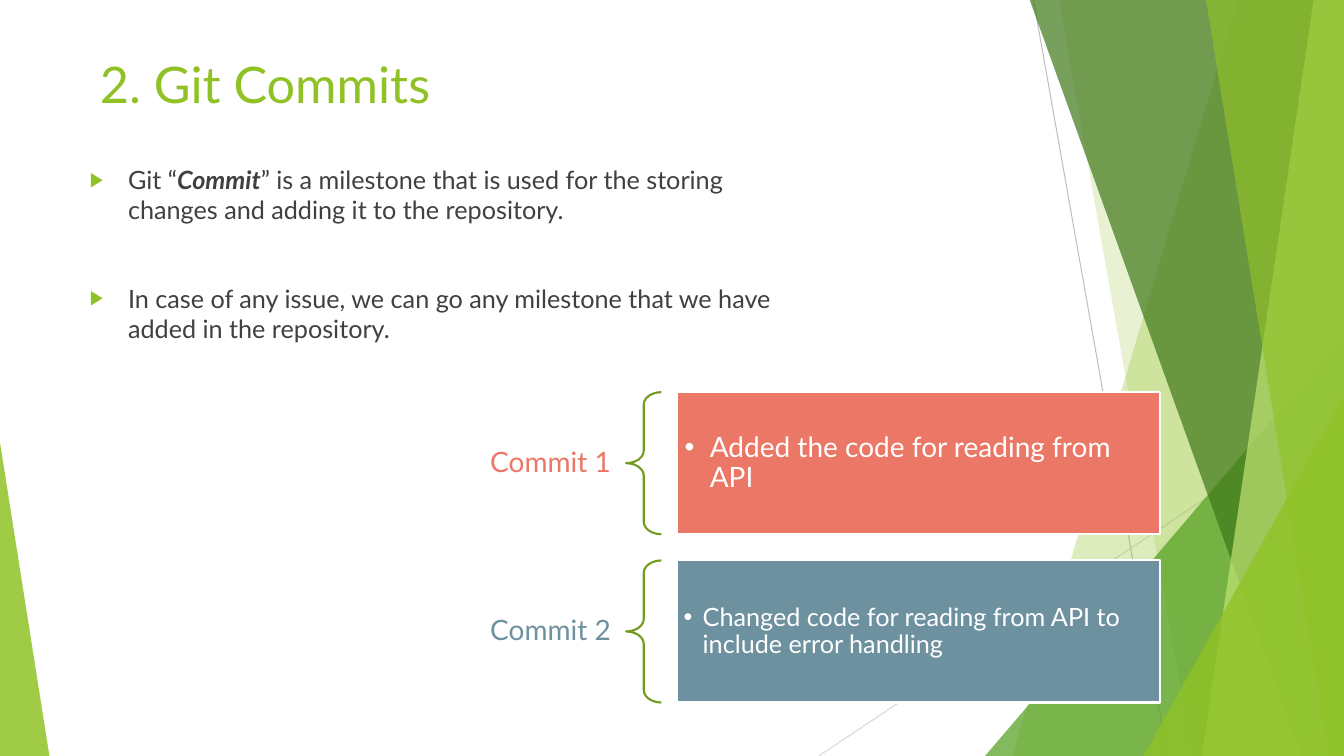
"""Build the Git commits slide with its green facet backdrop."""
from lxml import etree
from pptx import Presentation
from pptx.dml.color import RGBColor
from pptx.enum import shapes, text
from pptx.oxml import ns
from pptx.util import Inches, Pt

FONT = "Lato"
GREEN, BODY_GRAY, WHITE = "90C226", "404040", "FFFFFF"

TITLE = "2. Git Commits"
MILESTONES = [
    (["Git “", "Commit", "” is a milestone that is used for the storing changes "
      "and adding it to the repository."], 10),
    (["In case of any issue, we can go any milestone that we have added in "
      "the repository."], 41.5),
]
EMPHASIS = "Commit"
COMMITS = [
    ("Commit 1", "Added the code for reading from API", "EB7766", 20, 0.25, 0.08),
    ("Commit 2", "Changed code for reading from API to include error handling",
     "6E91A0", 18, 0.19, 0.07),
]
COMMIT_TOP, COMMIT_STEP, COMMIT_HEIGHT = 3.89, 1.67, 1.41

HAIRLINES = [((10.25, 0), (11.58, 7.5), "BFBFBF"),
             ((13.33, 4.03), (8.12, 7.5), "D9D9D9")]
TOP, RIGHT, BOTTOM = -0.01, 13.33, 7.5
FACETS = [
    ("band", (12.28, 10.04), GREEN, 30),
    ("band", (10.5, 11.83), GREEN, 20),
    ("triangle", (9.77, 3.33, 3.56, 4.17, 1), "54A021", 72),
    ("band", (10.21, 12.91), "3F7819", 70),
    ("band", (13.03, 11.92), "C0E474", 70),
    ("band", (11.96, 13.18), GREEN, 65),
    ("triangle", (11.34, 3.93, 1.99, 3.57, 1), GREEN, 80),
    ("triangle", (0, 4.39, 0.49, 3.11, 0), GREEN, 85),
]


def rgb(color):
    return RGBColor.from_string(color)


def add_node(parent, tag, **attributes):
    return etree.SubElement(parent, ns.qn(tag), attributes)


def place(part, left, top, width, height):
    part.left, part.top = Inches(left), Inches(top)
    part.width, part.height = Inches(width), Inches(height)


def paint(part, color, opacity=100):
    part.shadow.inherit = False
    part.line.fill.background()
    part.fill.solid()
    part.fill.fore_color.rgb = rgb(color)
    if opacity < 100:
        tint = part.fill._xPr.find(".//" + ns.qn("a:srgbClr"))
        add_node(tint, "a:alpha", val=str(opacity * 1000))


def outline(part, color):
    part.line.color.rgb = rgb(color)
    part.line.width = Pt(1.5)


def style(paragraph, size, color, align=text.PP_ALIGN.LEFT):
    paragraph.alignment = align
    for run in paragraph.runs:
        run.font.name = FONT
        run.font.size = Pt(size)
        run.font.color.rgb = rgb(color)


def set_bullet(paragraph, mark, indent, color, percent=100):
    props = paragraph._p.get_or_add_pPr()
    props.set("marL", str(Inches(indent)))
    props.set("indent", str(-Inches(indent)))
    add_node(add_node(props, "a:buClr"), "a:srgbClr", val=color)
    add_node(props, "a:buSzPct", val=str(percent * 1000))
    add_node(props, "a:buFont", typeface="Arial")
    add_node(props, "a:buChar", char=mark)


def set_frame(frame, side, edge, anchor=text.MSO_ANCHOR.MIDDLE):
    frame.word_wrap = True
    frame.auto_size = text.MSO_AUTO_SIZE.NONE
    frame.vertical_anchor = anchor
    frame.margin_left = frame.margin_right = Inches(side)
    frame.margin_top = frame.margin_bottom = Inches(edge)


def add_backdrop(slide):
    for start, end, color in HAIRLINES:
        hairline = slide.shapes.add_connector(
            shapes.MSO_CONNECTOR.STRAIGHT, *map(Inches, start + end))
        hairline.line.color.rgb = rgb(color)
        hairline.line.width = Pt(0.75)
        add_node(hairline._element.spPr, "a:effectLst")
    for kind, geometry, color, opacity in FACETS:
        if kind == "band":
            upper, lower = geometry
            corners = [(RIGHT, TOP), (RIGHT, BOTTOM), (lower, BOTTOM)]
            builder = slide.shapes.build_freeform(Inches(upper), Inches(TOP))
            builder.add_line_segments(
                [(Inches(x), Inches(y)) for x, y in corners], close=True)
            facet = builder.convert_to_shape()
        else:
            *box, apex = geometry
            facet = slide.shapes.add_shape(
                shapes.MSO_SHAPE.ISOSCELES_TRIANGLE, *map(Inches, box))
            facet.adjustments[0] = apex
        paint(facet, color, opacity)


def fill_placeholders(slide):
    title, milestones = slide.placeholders
    place(title, 0.89, 0.28, 10.54, 1.1)
    title.text_frame.text = TITLE
    set_frame(title.text_frame, 0.1, 0.05)
    style(title.text_frame.paragraphs[0], 36, GREEN)

    place(milestones, 0.79, 1.58, 7.32, 1.77)
    frame = milestones.text_frame
    set_frame(frame, 0.1, 0.05, text.MSO_ANCHOR.TOP)
    for index, (pieces, space_before) in enumerate(MILESTONES):
        paragraph = frame.add_paragraph() if index else frame.paragraphs[0]
        for piece in pieces:
            run = paragraph.add_run()
            run.text = piece
            if piece == EMPHASIS:
                run.font.bold = run.font.italic = True
        paragraph.space_before = Pt(space_before)
        style(paragraph, 18, BODY_GRAY)
        set_bullet(paragraph, "▶", 0.38, GREEN, 80)


def add_commit(slide, top, name, change, color, size, indent, margin):
    def box(left, width):
        return [Inches(n) for n in (left, top, width, COMMIT_HEIGHT)]

    label = slide.shapes.add_textbox(*box(4.45, 1.77)).text_frame
    label.text = name
    set_frame(label, 0.16, 0.06)
    label.paragraphs[0].line_spacing = 0.9
    style(label.paragraphs[0], 20, color, text.PP_ALIGN.RIGHT)

    brace = slide.shapes.add_shape(shapes.MSO_SHAPE.LEFT_BRACE, *box(6.21, 0.35))
    brace.adjustments[0] = 0.35
    brace.shadow.inherit = False
    brace.fill.background()
    outline(brace, "739B1E")

    card = slide.shapes.add_shape(shapes.MSO_SHAPE.RECTANGLE, *box(6.71, 4.8))
    paint(card, color)
    outline(card, WHITE)
    card.text_frame.text = change
    set_frame(card.text_frame, margin, margin)
    paragraph = card.text_frame.paragraphs[0]
    paragraph.line_spacing = 0.9
    style(paragraph, size, WHITE)
    set_bullet(paragraph, "•", indent, WHITE)


def main():
    deck = Presentation()
    deck.slide_width, deck.slide_height = Inches(13.33), Inches(7.5)
    slide = deck.slides.add_slide(deck.slide_layouts[1])
    add_backdrop(slide)
    fill_placeholders(slide)
    for index, commit in enumerate(COMMITS):
        add_commit(slide, COMMIT_TOP + index * COMMIT_STEP, *commit)
    deck.save("out.pptx")


if __name__ == "__main__":
    main()
